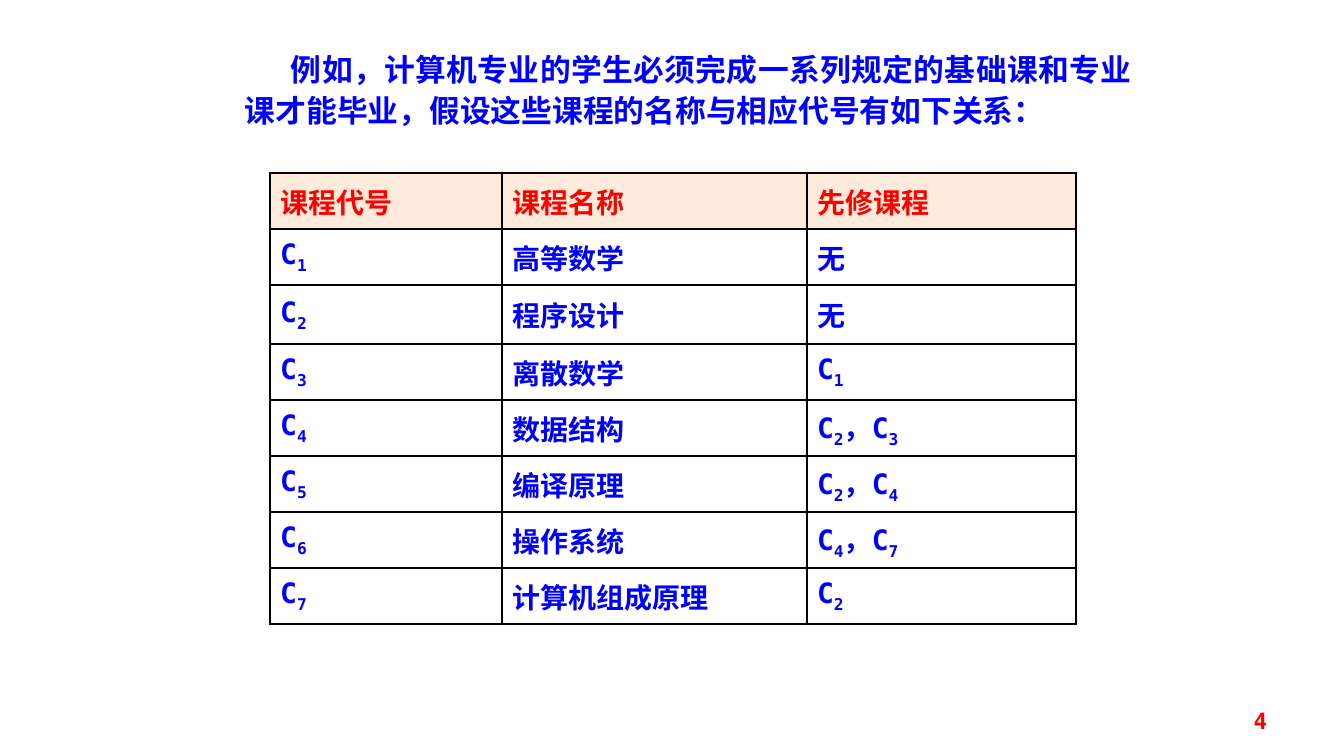
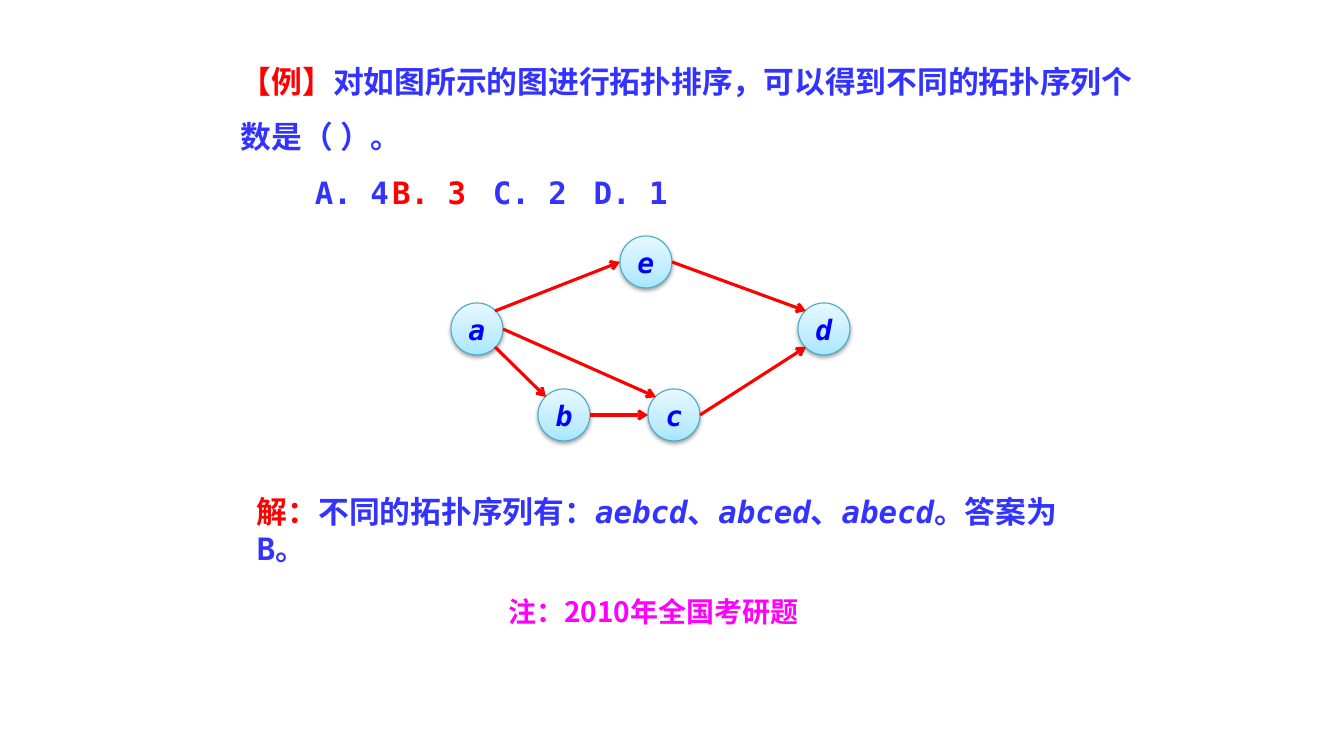
from copy import deepcopy
from dataclasses import dataclass
from itertools import groupby
from math import cos, radians, sin

from lxml.etree import SubElement
from pptx import Presentation
from pptx.dml.color import RGBColor
from pptx.enum.shapes import MSO_CONNECTOR, MSO_SHAPE
from pptx.enum.text import MSO_ANCHOR as Anchor, MSO_AUTO_SIZE as AutoSize, PP_ALIGN as Align
from pptx.oxml.ns import qn
from pptx.util import Emu, Pt

SLIDE_WIDTH, SLIDE_HEIGHT = 1344, 756
EMU_PER_PX = 12192000 / SLIDE_WIDTH

MONO, CJK = "DejaVu Sans Mono", "Noto Sans CJK SC"
RED, BLUE, INDIGO, MAGENTA = "FF0000", "0000FF", "3333FF", "FF00FF"
BLACK, HEADER_FILL, NODE_LINE = "000000", "FDEADA", "46AAC5"
NODE_GRADIENT = [(0, "A7E6FF"), (0.35, "C1EDFF"), (1, "E7F8FF")]

COURSES = [
    ("课程代号", "课程名称", "先修课程"),
    ("C1", "高等数学", "无"),
    ("C2", "程序设计", "无"),
    ("C3", "离散数学", "C1"),
    ("C4", "数据结构", "C2，C3"),
    ("C5", "编译原理", "C2，C4"),
    ("C6", "操作系统", "C4，C7"),
    ("C7", "计算机组成原理", "C2"),
]
COLUMN_WIDTHS = [232, 305, 269]
ROW_HEIGHTS = [56, 56, 59, 56, 56, 56, 56, 56]
NODE_SIZE = 52


@dataclass(frozen=True)
class Span:
    text: str
    color: str
    size: int = 22
    font: str = MONO
    italic: bool = False
    subscript: bool = False


@dataclass(frozen=True)
class Node:
    name: str
    left: int
    top: int

    def rim(self, degrees: int) -> tuple[int, int]:
        """Point on the circle, measured clockwise from its right side."""
        radius, angle = NODE_SIZE / 2, radians(degrees)
        return (round(self.left + radius * (1 + cos(angle))),
                round(self.top + radius * (1 + sin(angle))))


@dataclass(frozen=True)
class Edge:
    start: str
    start_angle: int
    end: str
    end_angle: int


NODES = [Node("e", 620, 236), Node("a", 451, 303), Node("b", 538, 389),
         Node("c", 648, 389), Node("d", 798, 303)]
EDGES = [
    Edge("a", 45, "b", 225),
    Edge("a", -45, "e", 180),
    Edge("e", 0, "d", 225),
    Edge("b", 0, "c", 180),
    Edge("c", 0, "d", 135),
    Edge("a", 0, "c", 225),
]


def px(value: int) -> Emu:
    return Emu(round(value * EMU_PER_PX))


def rgb(value: str) -> RGBColor:
    return RGBColor.from_string(value)


def set_all(target, values: dict) -> None:
    for name, value in values.items():
        setattr(target, name, value)


def write(para, spans: list[Span], **formats) -> None:
    """Fill a paragraph with spans after setting its paragraph formats."""
    set_all(para, formats)
    for span in spans:
        run = para.add_run()
        run.text = span.text
        set_all(run.font, {"name": span.font, "size": Pt(span.size),
                           "bold": True, "italic": span.italic})
        run.font.color.rgb = rgb(span.color)
        properties = run._r.get_or_add_rPr()
        SubElement(properties, qn("a:ea"), typeface=CJK)
        if span.subscript:
            properties.set("baseline", "-25000")


def indent_first_line(para, indent: int, tabs: tuple[int, ...] = ()) -> None:
    properties = para._p.get_or_add_pPr()
    properties.set("marL", "0")
    properties.set("indent", str(px(indent)))
    if tabs:
        stops = SubElement(properties, qn("a:tabLst"))
        for position in tabs:
            SubElement(stops, qn("a:tab"), pos=str(px(position)), algn="l")


def add_text(page, left: int, top: int, width: int, height: int,
             spans: list[Span], **formats):
    box = page.shapes.add_textbox(px(left), px(top), px(width), px(height))
    set_all(box.text_frame, {"word_wrap": True, "auto_size": AutoSize.SHAPE_TO_FIT_TEXT})
    write(box.text_frame.paragraphs[0], spans, **formats)
    return box


def set_borders(cell, widths: dict[str, float]) -> None:
    """Draw each side (L, R, T, B) with its width in points."""
    properties = cell._tc.get_or_add_tcPr()
    for index, (side, width) in enumerate(widths.items()):
        line = SubElement(properties, qn(f"a:ln{side}"), w=str(Pt(width)))
        fill = SubElement(line, qn("a:solidFill"))
        SubElement(fill, qn("a:srgbClr"), val=BLACK)
        properties.insert(index, line)


def course_spans(text: str, color: str) -> list[Span]:
    """Split a cell's text so that digits become subscripts."""
    return [Span("".join(group), color, 20, subscript=is_digit)
            for is_digit, group in groupby(text, str.isdigit)]


def add_course_table(page, left: int, top: int) -> None:
    last_row, last_column = len(ROW_HEIGHTS) - 1, len(COLUMN_WIDTHS) - 1
    table = page.shapes.add_table(
        len(ROW_HEIGHTS), len(COLUMN_WIDTHS), px(left), px(top),
        px(sum(COLUMN_WIDTHS)), px(sum(ROW_HEIGHTS))).table
    set_all(table, {"first_row": False, "horz_banding": False})
    for column, width in zip(table.columns, COLUMN_WIDTHS):
        column.width = px(width)
    for row, height in zip(table.rows, ROW_HEIGHTS):
        row.height = px(height)
    for r, course in enumerate(COURSES):
        for c, text in enumerate(course):
            cell = table.cell(r, c)
            cell.vertical_anchor = Anchor.MIDDLE
            if r == 0:
                cell.fill.solid()
                cell.fill.fore_color.rgb = rgb(HEADER_FILL)
            else:
                cell.fill.background()
            outer = {"L": c == 0, "R": c == last_column, "T": r == 0, "B": r == last_row}
            set_borders(cell, {side: 2.25 if edge else 1 for side, edge in outer.items()})
            write(cell.text_frame.paragraphs[0],
                  course_spans(text, BLUE if r else RED), alignment=Align.JUSTIFY)


def add_node(page, node: Node) -> None:
    circle = page.shapes.add_shape(MSO_SHAPE.OVAL, px(node.left), px(node.top),
                                   px(NODE_SIZE), px(NODE_SIZE))
    circle.fill.gradient()
    circle.fill.gradient_angle = 90
    properties = circle.element.spPr
    stops = properties.find(".//" + qn("a:gsLst"))
    stops.append(deepcopy(stops[0]))
    for stop, (position, color) in zip(circle.fill.gradient_stops, NODE_GRADIENT):
        stop.position = position
        stop.color.rgb = rgb(color)
    circle.line.color.rgb = rgb(NODE_LINE)
    circle.line.width = Pt(0.75)

    circle.shadow.inherit = False
    shadow = SubElement(properties.find(qn("a:effectLst")), qn("a:outerShdw"),
                        blurRad=str(Pt(3.1)), dist=str(Pt(1.6)), dir="5400000",
                        rotWithShape="0")
    shade = SubElement(shadow, qn("a:srgbClr"), val=BLACK)
    SubElement(shade, qn("a:alpha"), val="38000")

    set_all(circle.text_frame, {"word_wrap": False, "vertical_anchor": Anchor.MIDDLE})
    write(circle.text_frame.paragraphs[0],
          [Span(node.name, BLUE, 20, italic=True)], alignment=Align.CENTER)


def add_arrow(page, start: tuple[int, int], end: tuple[int, int]) -> None:
    arrow = page.shapes.add_connector(MSO_CONNECTOR.STRAIGHT,
                                      *(px(value) for value in start + end))
    arrow.line.color.rgb = rgb(RED)
    arrow.line.width = Pt(2.25)
    SubElement(arrow.line._get_or_add_ln(), qn("a:tailEnd"), type="arrow")
    SubElement(arrow._element.spPr, qn("a:effectLst"))


def build_course_page(page) -> None:
    add_course_table(page, 270, 173)
    intro = add_text(
        page, 235, 42, 907, 89,
        [Span("例如，计算机专业的学生必须完成一系列规定的基础课和专业课才能毕业，"
              "假设这些课程的名称与相应代号有如下关系：", BLUE, font="Times New Roman")],
        alignment=Align.JUSTIFY, line_spacing=1.1)
    indent_first_line(intro.text_frame.paragraphs[0], 46)
    number = add_text(page, 964, 701, 313, 40, [Span("4", RED, 16)], alignment=Align.RIGHT)
    set_all(number.text_frame, {"auto_size": AutoSize.NONE, "vertical_anchor": Anchor.MIDDLE})


def build_exercise_page(page) -> None:
    question = add_text(
        page, 231, 39, 921, 171,
        [Span("【例】", RED),
         Span("对如图所示的图进行拓扑排序，可以得到不同的拓扑序列个数是（ ）。", INDIGO)],
        line_spacing=1.5)
    options = question.text_frame.add_paragraph()
    indent_first_line(options, 74, tabs=(303, 505, 706))
    write(options, [Span("A. 4\t", INDIGO), Span("B. 3", RED),
                    Span("\tC. 2\tD. 1", INDIGO)], line_spacing=1.5)

    for node in NODES:
        add_node(page, node)
    by_name = {node.name: node for node in NODES}
    for edge in EDGES:
        add_arrow(page, by_name[edge.start].rim(edge.start_angle),
                  by_name[edge.end].rim(edge.end_angle))

    answer = [Span("解：", RED), Span("不同的拓扑序列有：", INDIGO)]
    for order, mark in (("aebcd", "、"), ("abced", "、"), ("abecd", "。答案为B。")):
        answer += [Span(order, INDIGO, italic=True), Span(mark, INDIGO)]
    add_text(page, 247, 488, 859, 47, answer)
    add_text(page, 496, 590, 315, 44,
             [Span("注：2010年全国考研题", MAGENTA, 20, CJK)], alignment=Align.CENTER)


def main() -> None:
    deck = Presentation()
    set_all(deck, {"slide_width": px(SLIDE_WIDTH), "slide_height": px(SLIDE_HEIGHT)})
    for build in (build_course_page, build_exercise_page):
        build(deck.slides.add_slide(deck.slide_layouts[6]))
    deck.save("out.pptx")


if __name__ == "__main__":
    main()
